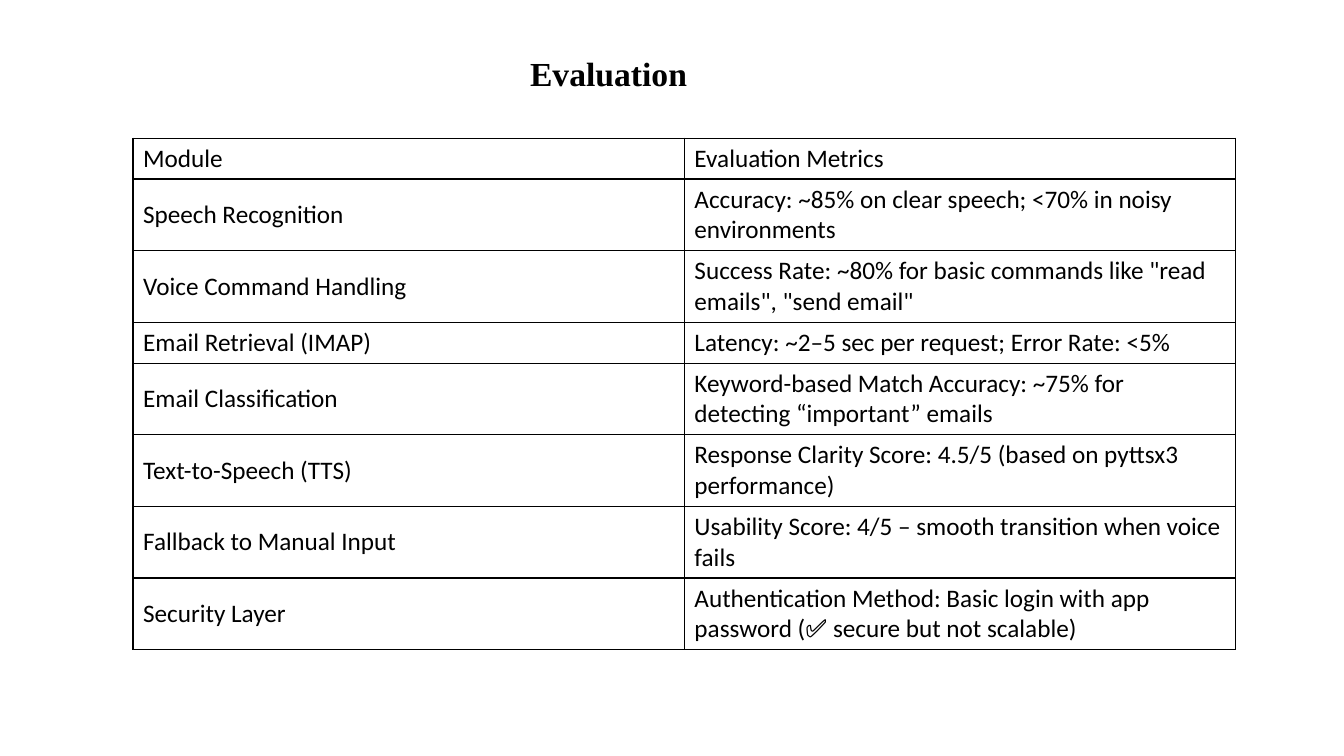
from typing import NamedTuple

from lxml.etree import SubElement as Sub
from pptx import Presentation
from pptx.dml.color import RGBColor as Rgb
from pptx.enum.text import MSO_ANCHOR as Anchor, MSO_AUTO_SIZE as Fit, PP_ALIGN as Align
from pptx.oxml.ns import qn
from pptx.util import Pt

COLORS = {"ink": "000000"}
SHORT, TALL = 27.36, 48.24
COL = 393.84


class Row(NamedTuple):
    module: str
    metric: str
    height: float = TALL


ROWS = [
    Row("Module", "Evaluation Metrics", SHORT),
    Row("Speech Recognition", "Accuracy: ~85% on clear speech; <70% in noisy environments"),
    Row("Voice Command Handling",
        'Success Rate: ~80% for basic commands like "read emails", "send email"'),
    Row("Email Retrieval (IMAP)", "Latency: ~2–5 sec per request; Error Rate: <5%", SHORT),
    Row("Email Classification",
        "Keyword-based Match Accuracy: ~75% for detecting “important” emails"),
    Row("Text-to-Speech (TTS)", "Response Clarity Score: 4.5/5 (based on pyttsx3 performance)"),
    Row("Fallback to Manual Input", "Usability Score: 4/5 – smooth transition when voice fails"),
    Row("Security Layer",
        "Authentication Method: Basic login with app password (✅ secure but not scalable)"),
]


def style(para, face: str, size: float, bold: bool) -> None:
    font = para.font
    font.name, font.size, font.bold = face, Pt(size), bold
    font.color.rgb = Rgb.from_string(COLORS["ink"])


def border(cell) -> None:
    props = cell._tc.get_or_add_tcPr()
    for side in ("lnL", "lnR", "lnT", "lnB"):
        line = Sub(props, qn(f"a:{side}"), w=str(Pt(1)))
        fill = Sub(line, qn("a:solidFill"))
        Sub(fill, qn("a:srgbClr"), val=COLORS["ink"])


def add_title(slide) -> None:
    title = slide.shapes.title
    title.left, title.top, title.width, title.height = Pt(66.24), Pt(28.8), Pt(828), Pt(51.12)
    frame = title.text_frame
    frame.text = "Evaluation"
    frame.auto_size = Fit.NONE
    frame.margin_left = Pt(312.4)
    frame.vertical_anchor = Anchor.MIDDLE
    para = frame.paragraphs[0]
    para.alignment = Align.LEFT
    para.line_spacing = 0.9
    style(para, "Times New Roman", 24, True)


def add_cell(cell, text: str) -> None:
    cell.text = text
    cell.vertical_anchor = Anchor.MIDDLE
    cell.margin_left = cell.margin_right = Pt(7.2)
    cell.margin_top = cell.margin_bottom = Pt(3.6)
    border(cell)
    cell.fill.background()
    style(cell.text_frame.paragraphs[0], "Calibri", 18, False)


def add_grid(slide, rows: list[Row]) -> None:
    high = sum(row.height for row in rows)
    frame = slide.shapes.add_table(len(rows), 2, Pt(95.04), Pt(98.64), Pt(2 * COL), Pt(high))
    table = frame.table
    table.first_row = table.horz_banding = False
    for r, row in enumerate(rows):
        table.rows[r].height = Pt(row.height)
        for c, text in enumerate((row.module, row.metric)):
            add_cell(table.cell(r, c), text)
    frame.height = Pt(357.12)


def main() -> None:
    deck = Presentation()
    deck.slide_width, deck.slide_height = Pt(960), Pt(540)
    slide = deck.slides.add_slide(deck.slide_layouts[5])
    add_title(slide)
    add_grid(slide, ROWS)
    deck.save("out.pptx")


if __name__ == "__main__":
    main()
